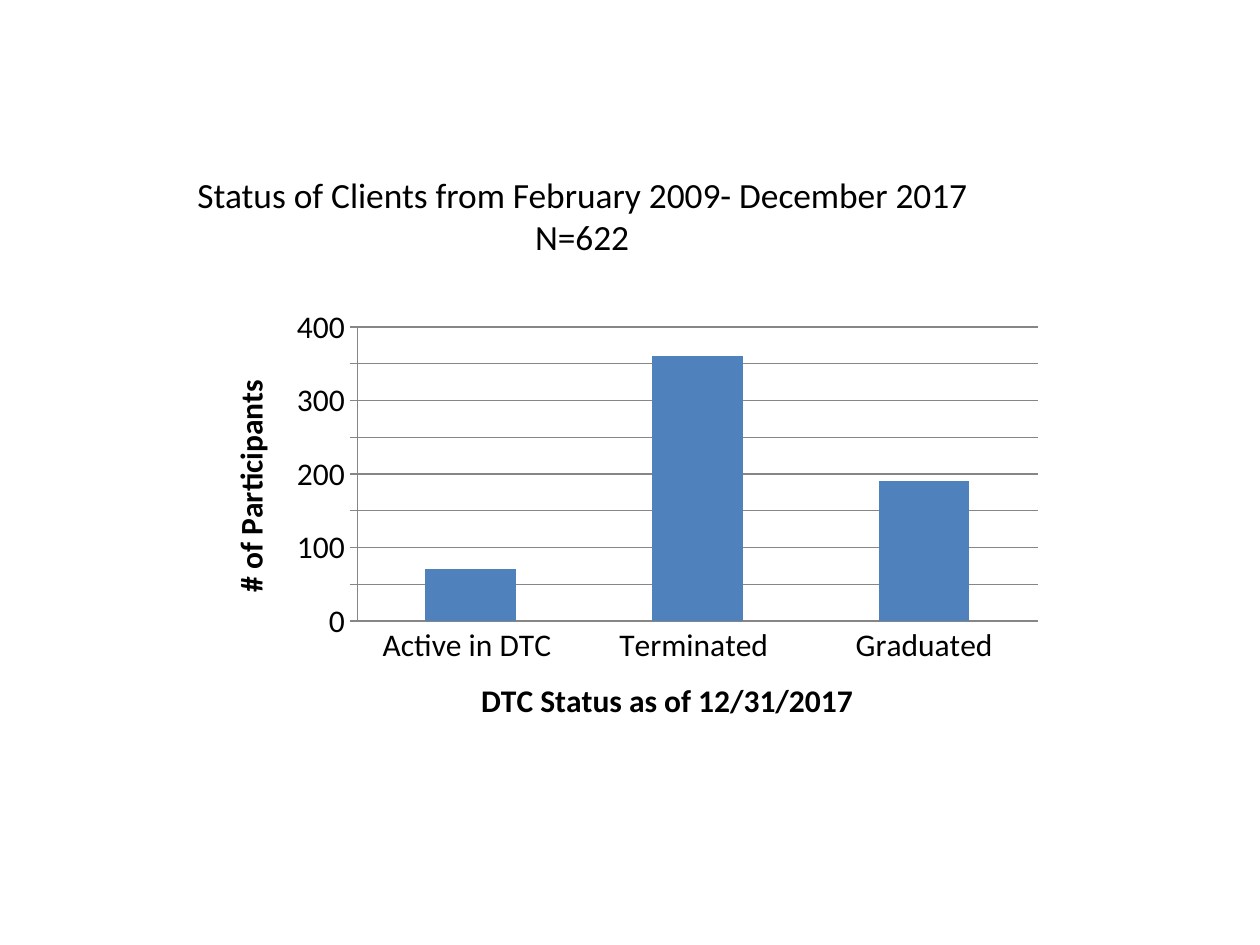
"""Build a slide with a column chart of client status."""
from lxml import etree
from pptx import Presentation
from pptx import util as u
from pptx.chart import data
from pptx.dml.color import RGBColor
from pptx.enum import chart as ch, text
from pptx.oxml import ns

TITLE = "Status of Clients from February 2009- December 2017\vN=622"
STATUS = {"Active in DTC ": 70, "Terminated ": 360, "Graduated": 190}
CAT_TITLE = "DTC Status as of 12/31/2017"
VAL_TITLE = "# of Participants"
TITLE_BOX = (0.84, 1.25, 7.56, 0.92)
CHART_BOX = (1.62, 2.38, 6.75, 3.59)
PLOT = {"x": 0.18, "y": 0.06, "w": 0.8, "h": 0.65}
FONT = "Calibri"
BLACK = RGBColor(0, 0, 0)
BLUE = RGBColor(0x4F, 0x81, 0xBD)
GRAY = RGBColor(0x86, 0x86, 0x86)


def style_font(font, size, bold=False):
    font.name, font.size, font.bold = FONT, u.Pt(size), bold
    font.color.rgb = BLACK


def style_line(line):
    line.color.rgb = GRAY
    line.width = u.Pt(0.75)


def style_axis(axis, title, tick):
    axis.has_title = True
    tf = axis.axis_title.text_frame
    tf.text = title
    style_font(tf.paragraphs[0].font, 18, True)
    axis.major_tick_mark = tick
    axis.minor_tick_mark = ch.XL_TICK_MARK.NONE
    style_line(axis.format.line)


def place_plot(chart):
    area = chart._chartSpace.chart.plotArea
    for old in area.findall(ns.qn("c:layout")):
        area.remove(old)
    layout = etree.Element(ns.qn("c:layout"))
    manual = etree.SubElement(layout, ns.qn("c:manualLayout"))
    settings = {"layoutTarget": "inner", "xMode": "edge", "yMode": "edge", **PLOT}
    for name, value in settings.items():
        etree.SubElement(manual, ns.qn("c:" + name)).set("val", str(value))
    area.insert(0, layout)


def add_status_chart(s):
    cd = data.CategoryChartData()
    cd.categories = list(STATUS)
    cd.add_series("Series 1", list(STATUS.values()))
    chart = s.shapes.add_chart(
        ch.XL_CHART_TYPE.COLUMN_CLUSTERED, *map(u.Inches, CHART_BOX), cd
    ).chart
    style_font(chart.font, 18)
    chart.has_legend = chart.has_title = False
    plot = chart.plots[0]
    plot.gap_width, plot.vary_by_categories = 150, False
    fill = plot.series[0].format.fill
    fill.solid()
    fill.fore_color.rgb = BLUE
    style_axis(chart.category_axis, CAT_TITLE, ch.XL_TICK_MARK.NONE)
    axis = chart.value_axis
    style_axis(axis, VAL_TITLE, ch.XL_TICK_MARK.OUTSIDE)
    axis.minimum_scale, axis.maximum_scale, axis.major_unit = 0, 400, 50
    axis.has_major_gridlines = True
    style_line(axis.major_gridlines.format.line)
    place_plot(chart)


def add_title(s):
    sp = s.shapes.title
    sp.left, sp.top, sp.width, sp.height = map(u.Inches, TITLE_BOX)
    tf = sp.text_frame
    tf.text = TITLE
    tf.word_wrap = True
    tf.auto_size = text.MSO_AUTO_SIZE.NONE
    tf.vertical_anchor = text.MSO_ANCHOR.MIDDLE
    p = tf.paragraphs[0]
    p.alignment = text.PP_ALIGN.CENTER
    style_font(p.font, 20.2)


def main():
    prs = Presentation()
    prs.slide_width, prs.slide_height = u.Inches(10), u.Inches(7.5)
    s = prs.slides.add_slide(prs.slide_layouts[5])
    add_status_chart(s)
    add_title(s)
    prs.save("out.pptx")


if __name__ == "__main__":
    main()
